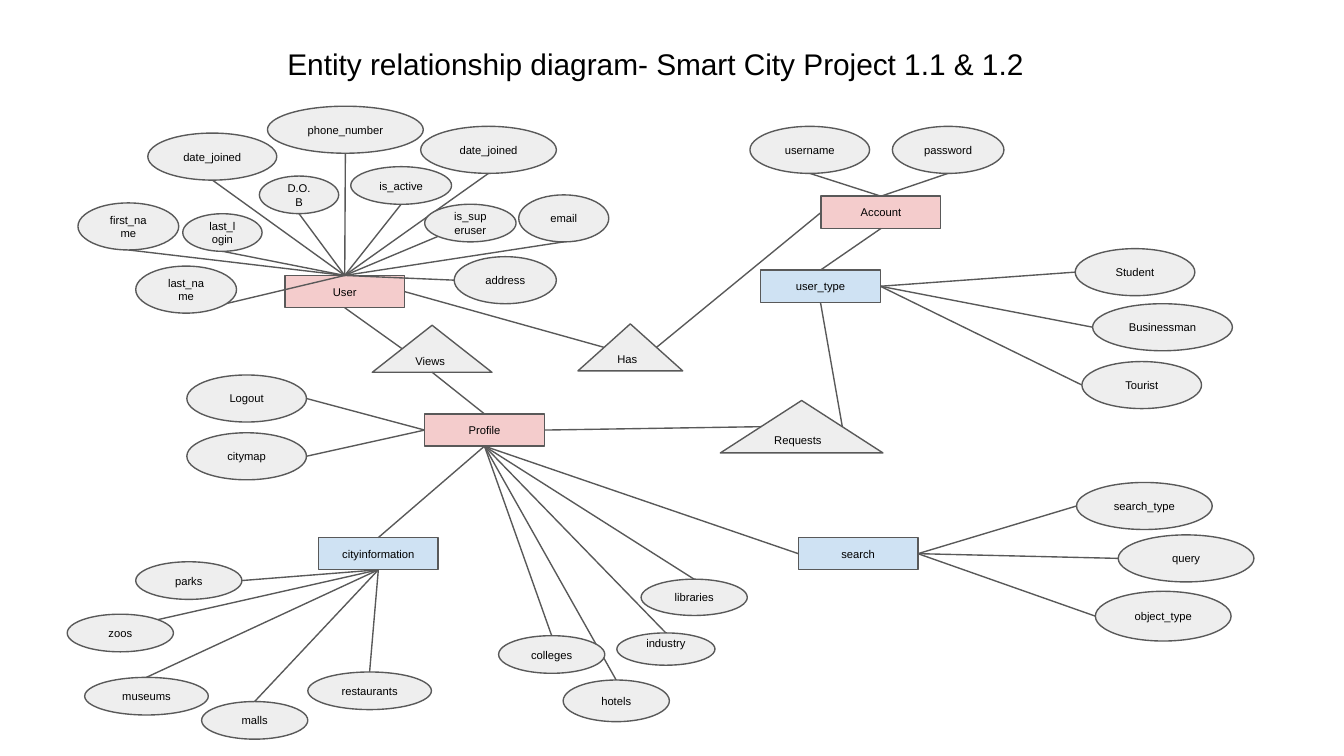
from pptx import Presentation
from pptx.dml.color import RGBColor
from pptx.enum.shapes import MSO_CONNECTOR as LINE, MSO_SHAPE as SHAPE
from pptx.enum.text import MSO_ANCHOR as ANCHOR, PP_ALIGN as ALIGN
from pptx.oxml import parse_xml
from pptx.oxml.ns import nsdecls
from pptx.util import Inches, Pt

PINK = RGBColor(0xF4, 0xCC, 0xCC)
BLUE = RGBColor(0xCF, 0xE2, 0xF3)
GREY = RGBColor(0xEE, 0xEE, 0xEE)
DARK = RGBColor(0x59, 0x59, 0x59)
BLACK = RGBColor(0, 0, 0)

TOP, LEFT, BOTTOM, RIGHT = range(4)  # connection sites of a rectangle
TOP_RIGHT, BOTTOM_LEFT, LEFT_SLOPE, RIGHT_SLOPE = range(4, 8)
DIAGONAL = 0.5 ** 0.5 / 2
SITES = {  # fractions of width and height
    TOP: (0.5, 0), LEFT: (0, 0.5), BOTTOM: (0.5, 1), RIGHT: (1, 0.5),
    TOP_RIGHT: (0.5 + DIAGONAL, 0.5 - DIAGONAL),
    BOTTOM_LEFT: (0.5 - DIAGONAL, 0.5 + DIAGONAL),
    LEFT_SLOPE: (0.25, 0.5), RIGHT_SLOPE: (0.75, 0.5),
}
ENTITY_SIZE = (0.89, 0.24)

# name: left, top, fill
ENTITIES = {
    "User": (2.12, 2.05, PINK),
    "Account": (6.11, 1.46, PINK),
    "Profile": (3.16, 3.08, PINK),
    "user_type": (5.66, 2.01, BLUE),
    "cityinformation": (2.37, 4, BLUE),
    "search": (5.94, 4, BLUE),
}
# entity, its side, attributes: name, offset from the entity, size, site
ATTRIBUTES = [
    ("User", TOP, [
        ("first_name", -1.54, -0.54, 0.75, 0.35, BOTTOM),
        ("last_name", -1.11, -0.07, 0.75, 0.35, BOTTOM),
        ("date_joined", -1.02, -1.06, 0.96, 0.35, BOTTOM),
        ("last_login", -0.76, -0.46, 0.59, 0.28, BOTTOM),
        ("D.O.B", -0.19, -0.74, 0.59, 0.28, BOTTOM),
        ("phone_number", -0.13, -1.26, 1.16, 0.35, BOTTOM),
        ("is_active", 0.49, -0.81, 0.75, 0.28, BOTTOM),
        ("date_joined", 1.01, -1.11, 1.01, 0.35, BOTTOM),
        ("is_superuser", 1.04, -0.53, 0.68, 0.28, BOTTOM_LEFT),
        ("email", 1.74, -0.6, 0.67, 0.35, BOTTOM),
        ("address", 1.26, -0.14, 0.76, 0.35, LEFT),
    ]),
    ("Account", TOP, [
        ("username", -0.53, -0.52, 0.89, 0.35, BOTTOM),
        ("password", 0.53, -0.52, 0.83, 0.35, BOTTOM),
    ]),
    ("user_type", RIGHT, [
        ("Student", 2.34, -0.16, 0.89, 0.35, LEFT),
        ("Businessman", 2.47, 0.25, 1.04, 0.35, LEFT),
        ("Tourist", 2.39, 0.68, 0.89, 0.35, LEFT),
    ]),
    ("Profile", LEFT, [
        ("Logout", -1.77, -0.29, 0.89, 0.35, RIGHT),
        ("citymap", -1.77, 0.14, 0.89, 0.35, RIGHT),
    ]),
    ("Profile", BOTTOM, [
        ("libraries", 1.61, 1.23, 0.79, 0.27, TOP),
        ("hotels", 1.03, 1.98, 0.79, 0.31, TOP),
        ("colleges", 0.55, 1.65, 0.79, 0.28, TOP),
        ("industry", 1.43, 1.63, 0.73, 0.24, TOP),
    ]),
    ("cityinformation", BOTTOM, [
        ("parks", -1.36, 0.18, 0.79, 0.28, RIGHT),
        ("zoos", -1.87, 0.57, 0.79, 0.28, TOP_RIGHT),
        ("museums", -1.74, 1.04, 0.92, 0.28, TOP),
        ("malls", -0.87, 1.22, 0.79, 0.28, TOP),
        ("restaurants", -0.08, 1, 0.92, 0.28, TOP),
    ]),
    ("search", RIGHT, [
        ("search_type", 2.07, -0.41, 1.01, 0.35, LEFT),
        ("query", 2.38, -0.02, 1.01, 0.35, LEFT),
        ("object_type", 2.21, 0.4, 1.01, 0.37, LEFT),
    ]),
]
# name, box, links: entity, its side, site on the triangle
RELATIONSHIPS = [
    ("Views", (2.77, 2.42, 0.89, 0.35),
     [("User", BOTTOM, LEFT_SLOPE), ("Profile", TOP, BOTTOM)]),
    ("Has", (4.3, 2.41, 0.78, 0.35),
     [("User", RIGHT, LEFT_SLOPE), ("Account", LEFT, RIGHT_SLOPE)]),
    ("Requests", (5.36, 2.98, 1.21, 0.39),
     [("Profile", RIGHT, LEFT_SLOPE), ("user_type", BOTTOM, RIGHT_SLOPE)]),
]
ENTITY_LINKS = [
    ("Account", BOTTOM, "user_type", TOP),
    ("Profile", BOTTOM, "cityinformation", TOP),
    ("Profile", BOTTOM, "search", LEFT),
]


def add_text(frame, text, size, align):
    frame.word_wrap = True
    frame.margin_left = frame.margin_right = Inches(0.1)
    frame.margin_top = frame.margin_bottom = Inches(0.1)
    para = frame.paragraphs[0]
    para.alignment = align
    span = para.add_run()
    span.text = text
    span.font.name = "Arial"
    span.font.size = Pt(size)
    span.font.color.rgb = BLACK


def add_node(page, kind, box, text, fill, align=ALIGN.CENTER):
    node = page.shapes.add_shape(kind, *map(Inches, box))
    node.shadow.inherit = False
    node.fill.solid()
    node.fill.fore_color.rgb = fill
    node.line.color.rgb = DARK
    node.line.width = Pt(0.75)
    node.text_frame.vertical_anchor = ANCHOR.MIDDLE
    add_text(node.text_frame, text, 6, align)
    return node


def site_point(box, site):
    left, top, width, height = box
    across, down = SITES[site]
    return Inches(left + across * width), Inches(top + down * height)


def add_link(page, entity, side, end):
    """Draw a line from the side of an entity to a point."""
    link = page.shapes.add_connector(LINE.STRAIGHT, 0, 0, *end)
    link.begin_connect(entity, side)
    link.line.color.rgb = DARK
    link.line.width = Pt(0.75)
    link._element.spPr.append(parse_xml(f"<a:effectLst {nsdecls('a')}/>"))
    return link


def draw_title(page, box):
    title = page.shapes.add_textbox(*map(Inches, box))
    add_text(title.text_frame, "Entity relationship diagram- Smart City Project 1.1 & 1.2",
             16, ALIGN.LEFT)


def draw_attributes(page, entity, side, attributes):
    """Place the ellipses around an entity, above their lines."""
    placed = [(name, (entity.left.inches + dx, entity.top.inches + dy, width, height), site)
              for name, dx, dy, width, height, site in attributes]
    for name, box, site in placed:
        add_link(page, entity, side, site_point(box, site))
    for name, box, site in placed:
        ellipse = add_node(page, SHAPE.OVAL, box, name, GREY)
        if name == "industry":  # its label sits above the middle
            ellipse.text_frame.margin_top = 0
            ellipse.text_frame.margin_bottom = Inches(0.09)


def draw_relationship(page, entities, name, box, links):
    add_node(page, SHAPE.ISOSCELES_TRIANGLE, box, name, GREY, ALIGN.LEFT)
    for entity, side, site in links:
        add_link(page, entities[entity], side, site_point(box, site))


def draw_diagram(page):
    entities = {name: add_node(page, SHAPE.RECTANGLE, (left, top, *ENTITY_SIZE), name, fill)
                for name, (left, top, fill) in ENTITIES.items()}
    for name, box, links in RELATIONSHIPS:
        draw_relationship(page, entities, name, box, links)
    for start, side, finish, finish_side in ENTITY_LINKS:
        link = add_link(page, entities[start], side, (0, 0))
        link.end_connect(entities[finish], finish_side)
    for name, side, attributes in ATTRIBUTES:
        draw_attributes(page, entities[name], side, attributes)


def main():
    deck = Presentation()
    deck.slide_width = Inches(10)
    deck.slide_height = deck.slide_width * 9 // 16
    page = deck.slides.add_slide(deck.slide_layouts[6])
    draw_title(page, (2.04, 0.24, 5.93, 0.63))
    draw_diagram(page)
    deck.save("out.pptx")


if __name__ == "__main__":
    main()
